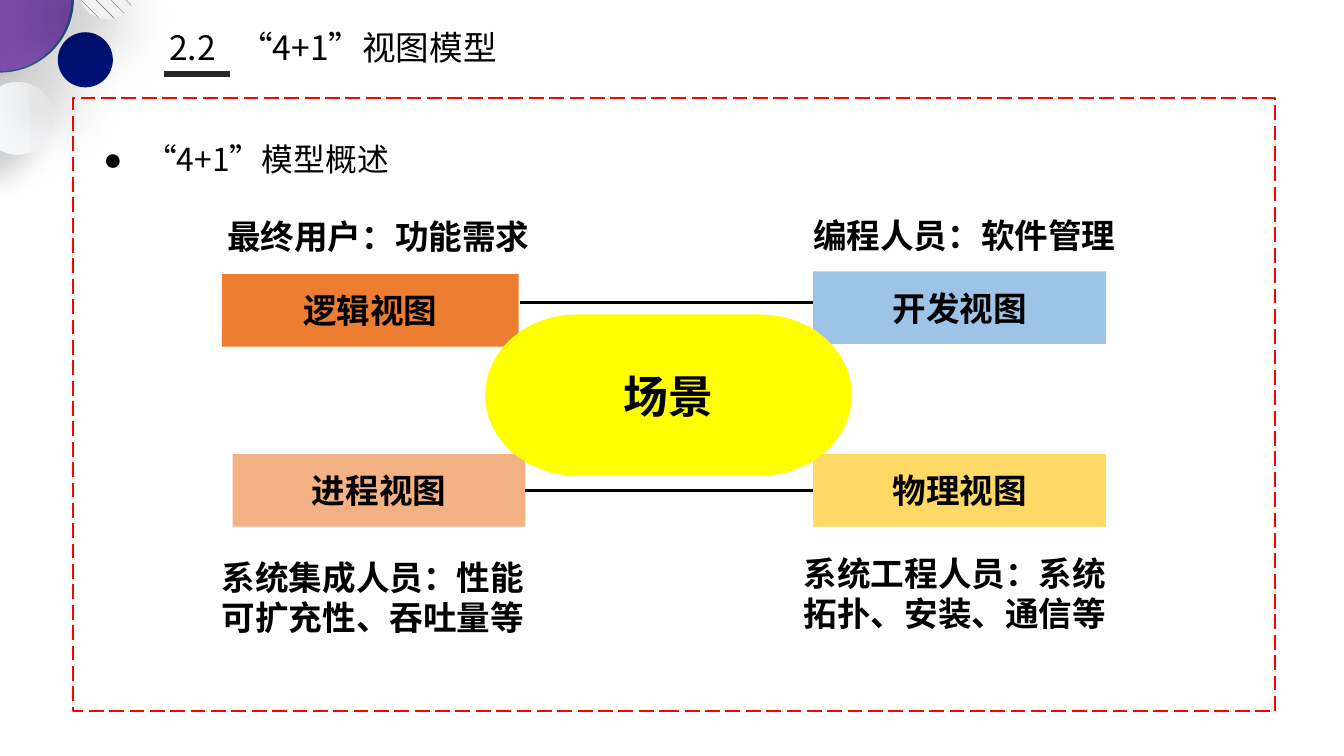
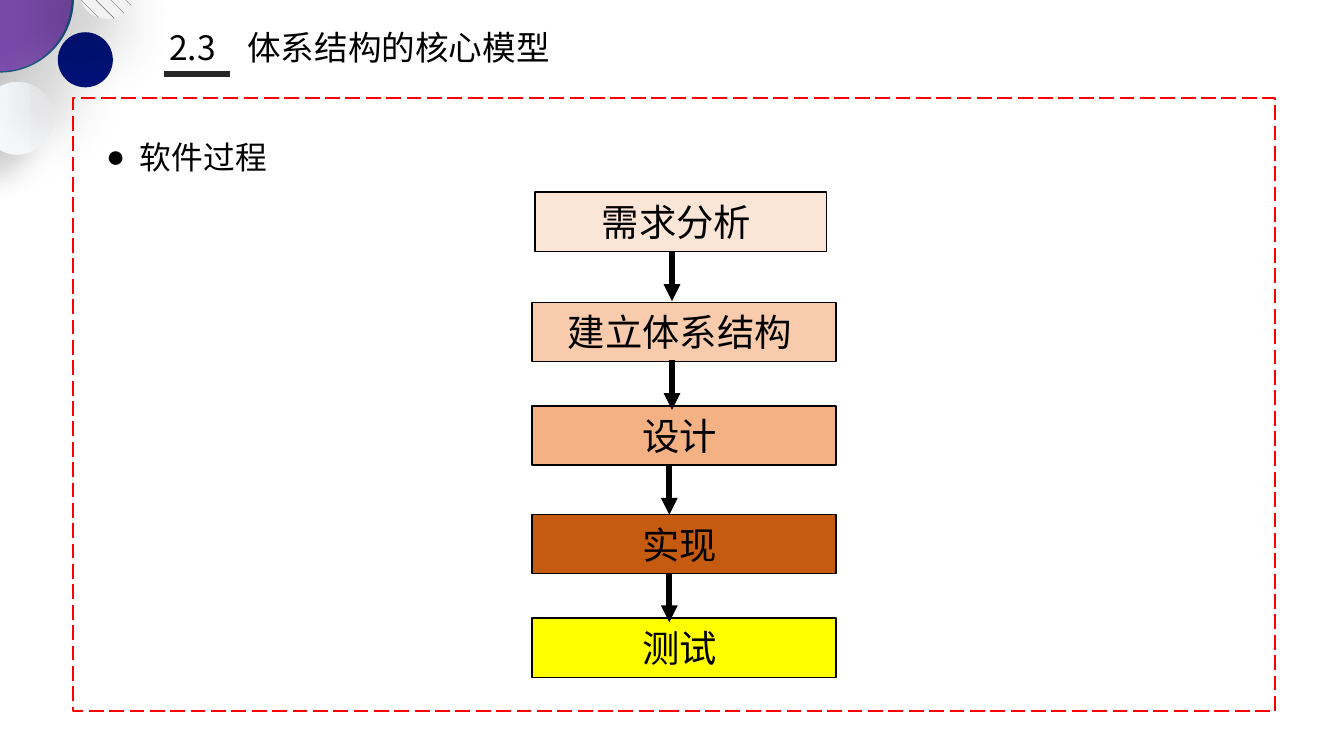
from math import cos, pi, sin

from pptx import Presentation
from pptx.dml.color import RGBColor
from pptx.enum.dml import MSO_LINE, MSO_PATTERN
from pptx.enum.shapes import MSO_CONNECTOR, MSO_SHAPE
from pptx.enum.text import MSO_ANCHOR, MSO_AUTO_SIZE, PP_ALIGN
from pptx.oxml.ns import qn
from pptx.util import Inches, Pt
from lxml.etree import SubElement

FONT = "Noto Sans CJK SC"
BLACK = RGBColor(0x00, 0x00, 0x00)
WHITE = RGBColor(0xFF, 0xFF, 0xFF)
RED = RGBColor(0xFF, 0x00, 0x00)
YELLOW = RGBColor(0xFF, 0xFF, 0x00)
CHARCOAL = RGBColor(0x26, 0x26, 0x26)
PURPLE = RGBColor(0x7A, 0x4A, 0xAA)
NAVY = RGBColor(0x00, 0x12, 0x79)
TEAL = RGBColor(0x26, 0x68, 0x8F)
DEEP_TEAL = RGBColor(0x19, 0x53, 0x82)
PEARL = RGBColor(0xF7, 0xFA, 0xFD)
MIST = RGBColor(0xF4, 0xF5, 0xF7)
GREY = RGBColor(0x40, 0x40, 0x40)
LIGHT_GREY = RGBColor(0xF2, 0xF2, 0xF2)
SHADOW_GREY = RGBColor(0xAF, 0xAB, 0xAB)
ORANGE = RGBColor(0xED, 0x7D, 0x31)
SALMON = RGBColor(0xF4, 0xB1, 0x83)
SKY = RGBColor(0x9D, 0xC3, 0xE6)
GOLD = RGBColor(0xFF, 0xD9, 0x66)
CREAM = RGBColor(0xFB, 0xE5, 0xD6)
PEACH = RGBColor(0xF8, 0xCB, 0xAD)
RUST = RGBColor(0xC5, 0x5A, 0x11)

TEAL_DOTS = (MSO_PATTERN.PERCENT_5, TEAL, DEEP_TEAL)
SHINGLES = (MSO_PATTERN.SHINGLE, GREY, LIGHT_GREY)
PEARL_FADE = (PEARL, MIST)

# left, top, diameter, rotation, fill, shadow (colour, alpha %, blur pt, distance pt)
CIRCLES = [
    (-0.55, -0.56, 1.1, 0, TEAL_DOTS, (BLACK, 40, 52, 32)),
    (-0.54, -0.54, 1.07, 0, PURPLE, None),
    (-0.14, 0.61, 0.54, 270, PEARL_FADE, (BLACK, 14, 14, 18)),
    (-0.12, 0.62, 0.51, 270, PEARL_FADE, None),
    (0.43, 0.24, 0.41, 0, NAVY, (SHADOW_GREY, 40, 27, 29)),
    (0.59, -0.28, 0.42, 11.1, SHINGLES, (BLACK, 40, 38, 19)),
    (0.59, -0.27, 0.41, 11.1, SHINGLES, None),
]


def set_fill(sp, fill):
    """Fill with a colour, a (start, end) gradient or a (pattern, fore, back) hatch."""
    if isinstance(fill, RGBColor):
        sp.fill.solid()
        sp.fill.fore_color.rgb = fill
    elif len(fill) == 2:
        sp.fill.gradient()
        sp.fill.gradient_angle = 270
        for stop, color in zip(sp.fill.gradient_stops, fill):
            stop.color.rgb = color
    else:
        sp.fill.patterned()
        sp.fill.pattern, fore, back = fill
        sp.fill.fore_color.rgb = fore
        sp.fill.back_color.rgb = back


def add_shadow(sp, color, alpha, blur, dist):
    effects = sp._element.spPr.find(qn("a:effectLst"))
    shadow = SubElement(effects, qn("a:outerShdw"), blurRad=str(Pt(blur)),
                        dist=str(Pt(dist)), dir=str(135 * 60000), rotWithShape="0")
    clr = SubElement(shadow, qn("a:srgbClr"), val=str(color))
    SubElement(clr, qn("a:alpha"), val=str(alpha * 1000))


def style_shape(sp, fill=None, line=None, width=0.75):
    sp.shadow.inherit = False
    if fill is None:
        sp.fill.background()
    else:
        set_fill(sp, fill)
    if line is None:
        sp.line.fill.background()
    else:
        sp.line.color.rgb = line
        sp.line.width = Pt(width)


def add_preset(slide, kind, at, **style):
    sp = slide.shapes.add_shape(kind, *map(Inches, at))
    style_shape(sp, **style)
    return sp


def format_frame(tf, insets, anchor=MSO_ANCHOR.TOP, wrap=True):
    sides = ("margin_left", "margin_top", "margin_right", "margin_bottom")
    values = dict(zip(sides, map(Inches, insets)))
    values.update(word_wrap=wrap, auto_size=MSO_AUTO_SIZE.NONE, vertical_anchor=anchor)
    for name, value in values.items():
        setattr(tf, name, value)


def write(p, text, size, bold=False, align=PP_ALIGN.LEFT, spacing=None):
    for name, value in dict(alignment=align, line_spacing=spacing,
                            space_before=Pt(0)).items():
        setattr(p, name, value)
    r = p.add_run()
    r.text = text
    for name, value in dict(name=FONT, size=Pt(size), bold=bold).items():
        setattr(r.font, name, value)
    r.font.color.rgb = BLACK
    SubElement(r.font._element, qn("a:ea"), typeface=FONT)


def write_centred(sp, text, size, bold=False, insets=(0.1, 0, 0.1, 0)):
    format_frame(sp.text_frame, insets, MSO_ANCHOR.MIDDLE)
    write(sp.text_frame.paragraphs[0], text, size, bold, PP_ALIGN.CENTER)


def add_line(slide, start, end, width, color=BLACK, arrow=False):
    c = slide.shapes.add_connector(MSO_CONNECTOR.STRAIGHT,
                                   *map(Inches, (*start, *end)))
    c.line.color.rgb = color
    c.line.width = Pt(width)
    spPr = c._element.spPr
    if arrow:
        SubElement(spPr.find(qn("a:ln")), qn("a:tailEnd"), type="triangle")
    SubElement(spPr, qn("a:effectLst"))
    return c


def place(sp, at):
    for name, value in zip(("left", "top", "width", "height"), at):
        setattr(sp, name, Inches(value))


def add_title(slide, number, text, tab):
    sp = slide.shapes.title
    place(sp, (1.15, 0.17, 5.34, 0.36))
    format_frame(sp.text_frame, (0.11, 0.03, 0.05, 0))
    p = sp.text_frame.paragraphs[0]
    tabs = SubElement(p._p.get_or_add_pPr(), qn("a:tabLst"))
    SubElement(tabs, qn("a:tab"), pos=str(Inches(tab)), algn="l")
    write(p, f"{number}\t{text}", 18)


def add_bullet(slide, left, top, text, indent):
    sp = slide.placeholders[1]
    place(sp, (left, top, 8.53, 0.43))
    format_frame(sp.text_frame, (0.05, 0.03, 0.05, 0.03))
    p = sp.text_frame.paragraphs[0]
    pPr = p._p.get_or_add_pPr()
    pPr.set("marL", str(Inches(indent)))
    pPr.set("indent", str(-Inches(indent)))
    SubElement(pPr, qn("a:buChar"), char="●")
    write(p, text, 17, spacing=1.5)


def new_slide(prs, number, title, tab):
    """Add a slide with the corner circles, title, underline and dashed frame."""
    slide = prs.slides.add_slide(prs.slide_layouts[1])
    for left, top, size, rotation, fill, shadow in CIRCLES:
        sp = add_preset(slide, MSO_SHAPE.OVAL, (left, top, size, size), fill=fill)
        sp.rotation = rotation
        if shadow:
            add_shadow(sp, *shadow)
    add_title(slide, number, title, tab)
    add_line(slide, (1.22, 0.55), (1.71, 0.55), 3, CHARCOAL)
    frame = add_preset(slide, MSO_SHAPE.RECTANGLE, (0.54, 0.73, 8.95, 4.56),
                       line=RED, width=1)
    frame.line.dash_style = MSO_LINE.LONG_DASH
    return slide


def add_view(slide, at, text, fill):
    sp = add_preset(slide, MSO_SHAPE.RECTANGLE, at, fill=fill)
    write_centred(sp, text, 18, bold=True)
    return sp


def add_label(slide, at, *lines):
    sp = add_preset(slide, MSO_SHAPE.RECTANGLE, at, fill=WHITE)
    tf = sp.text_frame
    format_frame(tf, (0, 0, 0, 0), wrap=len(lines) > 1)
    for i, text in enumerate(lines):
        p = tf.add_paragraph() if i else tf.paragraphs[0]
        write(p, text, 18, bold=True, spacing=Pt(21.4))


def add_scenario(slide, text):
    """Draw the central oval: two half ellipses joined by straight edges."""
    left_x, right_x, mid_y, rx, ry, steps = 4.29, 5.66, 2.94, 0.68, 0.6, 24
    points = []
    for center, start in ((right_x, -pi / 2), (left_x, pi / 2)):
        for i in range(steps + 1):
            a = start + pi * i / steps
            points.append((Inches(center + rx * cos(a)), Inches(mid_y + ry * sin(a))))
    builder = slide.shapes.build_freeform(*points[0])
    builder.add_line_segments(points[1:], close=True)
    sp = builder.convert_to_shape()
    style_shape(sp, fill=YELLOW)
    write_centred(sp, text, 24, bold=True)


def build_view_model(prs):
    slide = new_slide(prs, "2.2", "“4+1”视图模型", 0.52)
    add_bullet(slide, 0.72, 0.87, "“4+1”模型概述", 0.31)
    add_view(slide, (1.65, 2.04, 2.21, 0.54), "逻辑视图", ORANGE)
    process = add_view(slide, (1.73, 3.38, 2.18, 0.54), "进程视图", SALMON)
    add_view(slide, (6.05, 2.02, 2.18, 0.54), "开发视图", SKY)
    physical = add_view(slide, (6.05, 3.38, 2.18, 0.54), "物理视图", GOLD)
    add_label(slide, (1.69, 1.61, 2.29, 0.3), "最终用户：功能需求")
    add_line(slide, (3.87, 2.25), (6.05, 2.25), 1.38)
    add_scenario(slide, "场景")
    add_label(slide, (6.05, 1.6, 2.29, 0.3), "编程人员：软件管理")
    link = add_line(slide, (3.91, 3.65), (6.05, 3.65), 1.38)
    link.begin_connect(process, 3)
    link.end_connect(physical, 1)
    add_label(slide, (1.65, 4.15, 2.43, 0.61), "系统集成人员：性能", "可扩充性、吞吐量等")
    add_label(slide, (5.98, 4.12, 2.43, 0.61), "系统工程人员：系统", "拓扑、安装、通信等")


def build_process(prs):
    slide = new_slide(prs, "2.3", "体系结构的核心模型", 0.58)
    add_bullet(slide, 0.74, 0.85, "软件过程", 0.25)
    steps = [
        ("需求分析", 3.98, 1.43, 2.17, CREAM),
        ("建立体系结构", 3.96, 2.25, 2.26, PEACH),
        ("设计", 3.96, 3.02, 2.26, SALMON),
        ("实现", 3.96, 3.83, 2.26, RUST),
        ("测试", 3.96, 4.6, 2.26, YELLOW),
    ]
    for text, left, top, width, fill in steps:
        sp = add_preset(slide, MSO_SHAPE.RECTANGLE, (left, top, width, 0.44),
                        fill=fill, line=BLACK)
        write_centred(sp, text, 20, insets=(0.1, 0, 0.16, 0))
    for x, top in ((5, 1.87), (5, 2.68), (4.98, 3.46), (4.98, 4.26)):
        add_line(slide, (x, top), (x, top + 0.37), 3, arrow=True)


def main():
    prs = Presentation()
    prs.slide_width = Inches(10)
    prs.slide_height = prs.slide_width * 9 // 16
    build_view_model(prs)
    build_process(prs)
    prs.save("out.pptx")


if __name__ == "__main__":
    main()
